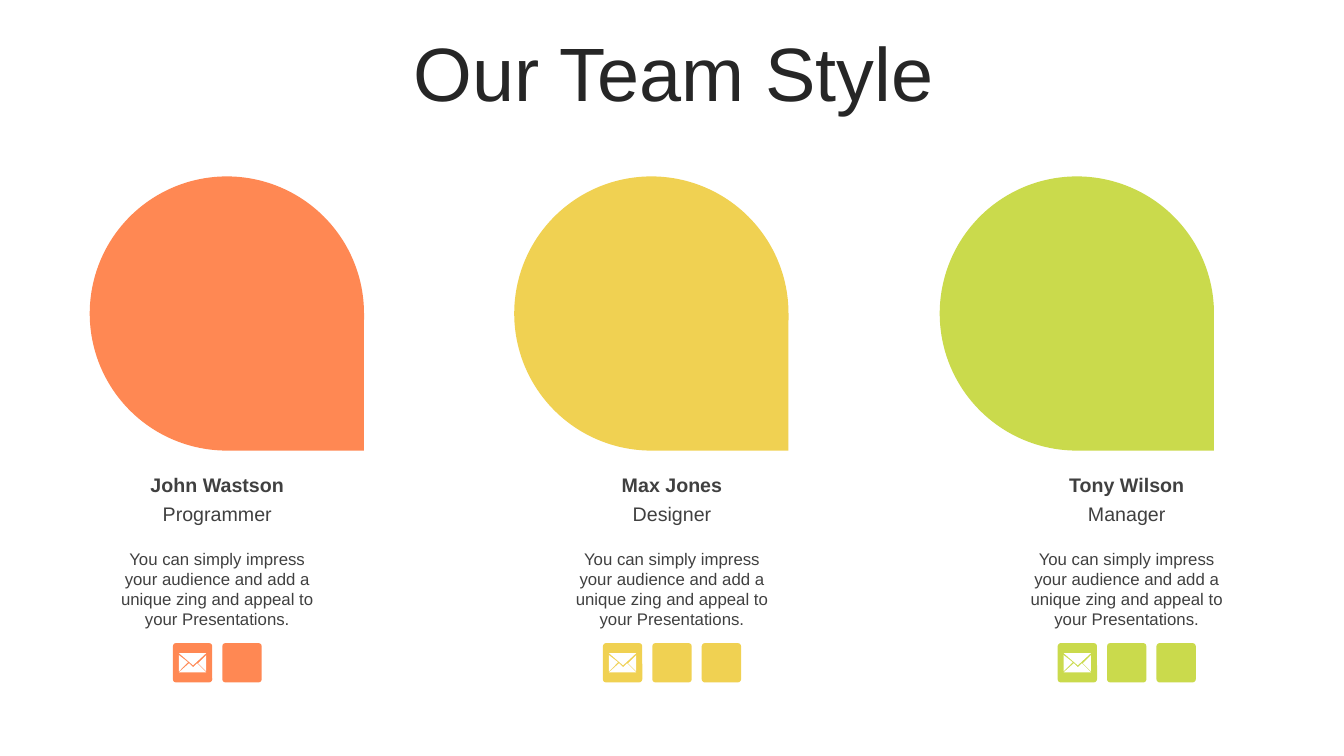
from pptx import Presentation
from pptx.dml.color import RGBColor
from pptx.enum.shapes import MSO_SHAPE
from pptx.enum.text import MSO_ANCHOR, PP_ALIGN
from pptx.util import Inches, Pt

ORANGE = RGBColor(0xFF, 0x88, 0x53)
YELLOW = RGBColor(0xF0, 0xD1, 0x52)
GREEN = RGBColor(0xCA, 0xDA, 0x4C)
WHITE = RGBColor(0xFF, 0xFF, 0xFF)
TITLE_GREY = RGBColor(0x26, 0x26, 0x26)
TEXT_GREY = RGBColor(0x40, 0x40, 0x40)

DROP_SIZE = 2.72
TEXT_WIDTH = 2.25
ICON_SIZE = 0.39
ICON_PITCH = 0.49
ICON_TOP = 6.38

BIO = ("You can simply impress your audience and add a unique zing "
       "and appeal to your Presentations.")

# name, role, colour, teardrop left, number of icons
MEMBERS = [
    ("John Wastson", "Programmer", ORANGE, 0.89, 2),
    ("Max Jones", "Designer", YELLOW, 5.10, 3),
    ("Tony Wilson", "Manager", GREEN, 9.32, 3),
]

# Envelope parts in hundredths of an inch from the icon's corner
ENVELOPE = [
    [(6, 10), (20, 22), (33, 10)],
    [(6, 12), (6, 28), (15, 19)],
    [(33, 12), (25, 20), (33, 28)],
    [(24, 20), (20, 24), (16, 20), (6, 29), (33, 29)],
]


class TeamSlide:
    font = "Arial"

    def __init__(self, prs):
        self.s = prs.slides.add_slide(prs.slide_layouts[6])

    def paint(self, sp, color):
        sp.shadow.inherit = False
        sp.fill.solid()
        sp.fill.fore_color.rgb = color
        sp.line.fill.background()

    def shape(self, kind, x, y, size, color):
        sp = self.s.shapes.add_shape(
            kind, Inches(x), Inches(y), Inches(size), Inches(size))
        self.paint(sp, color)
        return sp

    def text(self, words, x, y, w, h, size, color=TEXT_GREY, bold=False,
             anchor=MSO_ANCHOR.MIDDLE, spacing=None):
        tf = self.s.shapes.add_textbox(
            Inches(x), Inches(y), Inches(w), Inches(h)).text_frame
        tf.word_wrap = True
        tf.vertical_anchor = anchor
        p = tf.paragraphs[0]
        p.text = words
        p.alignment = PP_ALIGN.CENTER
        p.line_spacing = spacing
        p.font.name = self.font
        p.font.size = Pt(size)
        p.font.bold = bold
        p.font.color.rgb = color

    def teardrop(self, x, color):
        sp = self.shape(MSO_SHAPE.TEAR, x, 1.75, DROP_SIZE, color)
        sp.rotation = 90

    def envelope(self, x, y):
        builder = self.s.shapes.build_freeform(
            *ENVELOPE[0][0], scale=Inches(0.01))
        for part in ENVELOPE:
            builder.move_to(*part[0])
            builder.add_line_segments(part[1:], close=True)
        self.paint(builder.convert_to_shape(Inches(x), Inches(y)), WHITE)

    def icons(self, center, count, color):
        """Centre a row of tiles; the first one carries an envelope."""
        left = center - ((count - 1) * ICON_PITCH + ICON_SIZE) / 2
        for i in range(count):
            tile = self.shape(MSO_SHAPE.ROUNDED_RECTANGLE,
                              left + i * ICON_PITCH, ICON_TOP, ICON_SIZE, color)
            tile.adjustments[0] = 0.08
        self.envelope(left, ICON_TOP)

    def member(self, x, name, role, color, drop_x, icon_count):
        self.teardrop(drop_x, color)
        self.text(name, x, 4.67, TEXT_WIDTH, 0.27, 14, bold=True)
        self.text(role, x, 4.96, TEXT_WIDTH, 0.27, 14)
        self.text(BIO, x, 5.39, TEXT_WIDTH, 0.91, 12, anchor=MSO_ANCHOR.TOP)
        self.icons(x + TEXT_WIDTH / 2, icon_count, color)


def main():
    prs = Presentation()
    prs.slide_width = Inches(13.33)
    prs.slide_height = Inches(7.5)
    slide = TeamSlide(prs)
    slide.text("Our Team Style", 0.35, 0.37, 12.66, 0.79, 54,
               color=TITLE_GREY, spacing=0.9)
    for i, details in enumerate(MEMBERS):
        slide.member(1.03 + 4.51 * i, *details)
    prs.save("out.pptx")


if __name__ == "__main__":
    main()
